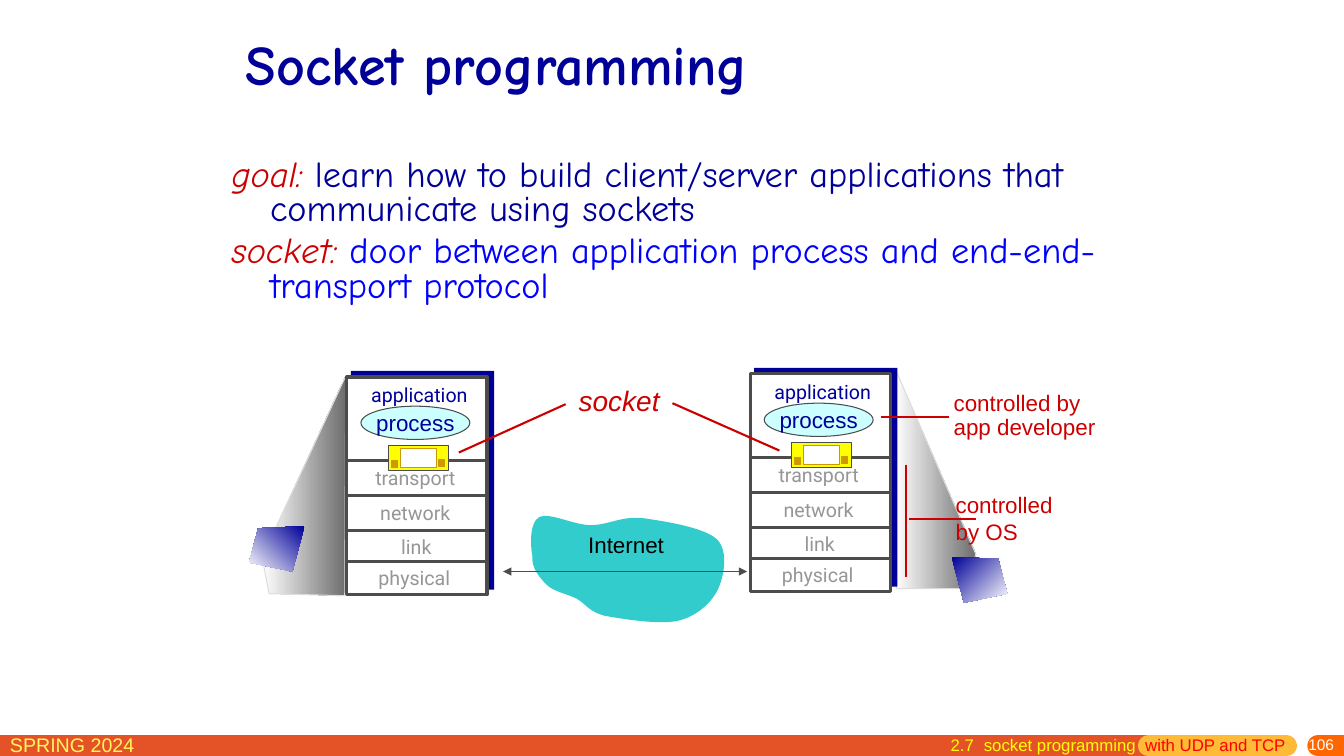
import pptx
import pptx.util
import pptx.dml.color
import pptx.enum.shapes
import pptx.enum.text
import pptx.oxml
import pptx.oxml.ns

PX = 9144
INK = {
    "navy": "000099", "blue": "0000FF", "red": "CC0000", "hot": "FF0000",
    "gray": "4C4C4C", "dim": "969696", "dark": "6E6E6E", "pale": "DDDDDD",
    "white": "FFFFFF", "black": "000000", "teal": "33CCCC", "ice": "CCFFFF",
    "sun": "FFFF00", "gold": "CC9900", "brick": "E45327", "amber": "FFBA37",
    "flame": "FF6600", "lemon": "FFF65C",
}
SHAPE = pptx.enum.shapes.MSO_SHAPE
ALIGN = pptx.enum.text.PP_ALIGN
ANCHOR = pptx.enum.text.MSO_ANCHOR


def hue(name):
    return pptx.dml.color.RGBColor.from_string(INK[name])


def node(tag, **attrs):
    part = pptx.oxml.parse_xml(f"<a:{tag} {pptx.oxml.ns.nsdecls('a')}/>")
    for key, value in attrs.items():
        part.set(key, str(value))
    return part


def paint(shape, fill=None, line=None, width=0.75):
    shape.shadow.inherit = False
    if fill:
        shape.fill.solid()
        shape.fill.fore_color.rgb = hue(fill)
    if line:
        shape.line.color.rgb = hue(line)
        shape.line.width = pptx.util.Pt(width)
    else:
        shape.line.fill.background()
    return shape


def shape(slide, kind, box, **look):
    return paint(slide.shapes.add_shape(kind, *(n * PX for n in box)), **look)


def text(slide, box, lines, host=None, size=16, font="Arial", color="black",
         bold=False, italic=False, align=ALIGN.LEFT, anchor=ANCHOR.TOP,
         wrap=True, space=None, gap=0, hang=0, tabs=(), inset=(10, 5, 10, 5)):
    host = host or slide.shapes.add_textbox(*(n * PX for n in box))
    frame = host.text_frame
    frame.word_wrap = wrap
    frame.vertical_anchor = anchor
    frame.margin_left, frame.margin_top, frame.margin_right, frame.margin_bottom = (
        n * PX for n in inset)
    for i, line in enumerate(lines):
        para = frame.paragraphs[0] if i == 0 else frame.add_paragraph()
        para.alignment = align
        if space:
            para.line_spacing = space
        if i and gap:
            para.space_before = pptx.util.Pt(gap)
        props = para._p.get_or_add_pPr()
        if hang:
            props.set("marL", str(hang * PX))
            props.set("indent", str(-hang * PX))
        if tabs:
            stops = node("tabLst")
            for stop in tabs:
                stops.append(node("tab", pos=stop * PX, algn="l"))
            props.append(stops)
        for words, ink, slant in [(line, color, italic)] if isinstance(line, str) else line:
            run = para.add_run()
            run.text = words
            run.font.name = font
            run.font.size = pptx.util.Pt(size)
            run.font.bold = bold
            run.font.italic = slant
            run.font.color.rgb = hue(ink)
    return host


def rule(slide, start, end, color, width, heads=False, cap=None):
    line = slide.shapes.add_connector(
        pptx.enum.shapes.MSO_CONNECTOR.STRAIGHT, *(n * PX for n in (*start, *end)))
    line.line.color.rgb = hue(color)
    line.line.width = pptx.util.Pt(width)
    stroke = line._element.spPr.find(pptx.oxml.ns.qn("a:ln"))
    if cap:
        stroke.set("cap", cap)
    if heads:
        for tag in ("headEnd", "tailEnd"):
            stroke.append(node(tag, type="triangle"))
    line._element.spPr.append(node("effectLst"))


def form(slide, points, **look):
    pen = slide.shapes.build_freeform(*points[0], scale=PX)
    pen.add_line_segments(points[1:], close=True)
    return paint(pen.convert_to_shape(), **look)


def fade(slide, left, top, points, first, last, angle, **look):
    part = form(slide, [(left + x, top + y) for x, y in points], **look)
    part.fill.gradient()
    part.fill.gradient_angle = angle
    for stop, ink, spot in zip(part.fill.gradient_stops, (first, last), (0, 1)):
        stop.color.rgb = hue(ink)
        stop.position = spot


def bend(part, start, arcs):
    track = part._element.find(".//" + pptx.oxml.ns.qn("a:path"))
    for step in list(track):
        track.remove(step)
    for tag, points in [("moveTo", [start])] + [("cubicBezTo", arc) for arc in arcs]:
        step = node(tag)
        for x, y in points:
            step.append(node("pt", x=x, y=y))
        track.append(step)
    track.append(node("close"))


def cloud(slide, left, top):
    arcs = [
        ((1, 33), (0, 10), (10, 5)), ((20, 0), (44, 13), (61, 13)),
        ((78, 13), (91, 4), (112, 6)), ((133, 9), (173, 15), (186, 27)),
        ((198, 39), (193, 64), (187, 77)), ((180, 91), (165, 104), (147, 108)),
        ((128, 112), (92, 106), (75, 103)), ((59, 99), (56, 91), (47, 86)),
        ((37, 81), (24, 79), (17, 72)), ((10, 65), (2, 55), (3, 44)),
    ]
    blob = form(slide, [(left, top), (left + 198, top), (left + 198, top + 113)], fill="teal")
    bend(blob, (3, 44), arcs)
    text(slide, (left + 48, top + 14, 96, 37), ["Internet"], align=ALIGN.CENTER, wrap=False)
    rule(slide, (left - 26, top + 59), (left + 216, top + 59), "gray", 0.75, heads=True)


def stack(slide, left, top):
    shape(slide, SHAPE.RECTANGLE, (left + 4, top - 6, 142, 217), fill="navy")
    shape(slide, SHAPE.RECTANGLE, (left, top, 139, 216), fill="white", line="gray", width=2.25)
    for y in (83, 118, 152, 183):
        rule(slide, (left, top + y), (left + 139, top + y), "gray", 2.25)
    for name, x, y, ink in (("application", 0, -1, "navy"), ("transport", -4, 81, "dim"),
                            ("network", -4, 116, "dim"), ("link", -3, 149, "dim"),
                            ("physical", -5, 180, "dim")):
        text(slide, (left + x, top + y, 144, 36), [name], size=14, font="Roboto",
             color=ink, align=ALIGN.CENTER, space=1.1)
    oval = shape(slide, SHAPE.OVAL, (left + 14, top + 29, 108, 33), fill="ice", line="gray")
    text(slide, None, ["process"], host=oval, color="navy", align=ALIGN.CENTER,
         anchor=ANCHOR.MIDDLE, wrap=False)
    for x, y, w, h, fill, edge in ((41, 68, 60, 25, "sun", "gray"),
                                   (53, 71, 36, 19, "white", "gold"),
                                   (91, 82, 6, 7, "gold", "gold"),
                                   (44, 83, 6, 7, "gold", "gold")):
        shape(slide, SHAPE.RECTANGLE, (left + x, top + y, w, h), fill=fill, line=edge)


def scene(slide, left, top):
    fade(slide, left + 641, top, [(80, 184), (0, 0), (1, 218), (66, 218)],
         "white", "dark", 0, line="pale")
    fade(slide, left + 13, top + 7, [(0, 180), (83, 0), (82, 218), (7, 216)],
         "white", "dark", 0, line="pale")
    cloud(slide, left + 278, top + 142)
    stack(slide, left + 97, top + 8)
    stack(slide, left + 497, top + 5)
    text(slide, (left + 691, top + 116, 116, 90), ["controlled", "by OS"],
         color="red", wrap=False)
    text(slide, (left + 689, top + 18, 161, 58), ["controlled by", "app developer"],
         color="red", wrap=False, space=0.9)
    text(slide, (left + 317, top + 13, 120, 40), ["socket"], size=20, color="red",
         italic=True, space=0.9)
    for a, b, c, d in ((694, 48, 627, 48), (652, 95, 652, 206), (721, 149, 655, 149),
                       (208, 83, 314, 35), (526, 81, 420, 34)):
        rule(slide, (left + a, top + b), (left + c, top + d), "red", 1.5)
    fade(slide, left, top + 156, [(55, 0), (9, 2), (0, 36), (43, 45)], "navy", "white", 225)
    fade(slide, left + 697, top + 187, [(0, 0), (46, 1), (55, 36), (12, 45)],
         "navy", "white", 315)


def intro(slide, left, top):
    text(slide, (left + 14, top, 850, 125), ["Socket programming"], size=40,
         font="Comic Neue", color="navy", bold=True, anchor=ANCHOR.MIDDLE)
    text(slide, (left, top + 153, 877, 168), [
        [("goal: ", "red", True),
         ("learn how to build client/server applications that communicate using sockets",
          "navy", False)],
        [("socket:", "red", True),
         (" door between application process and end-end-transport protocol", "blue", False)],
    ], size=25.9, font="Comic Neue", space=0.8, gap=5, hang=38)


def foot(slide, top):
    mid = top + 18
    for start, end, ink, cap in ((0, 1139, "brick", "flat"), (1139, 1276, "amber", "rnd"),
                                 (1307, 1333, "flame", "rnd")):
        rule(slide, (start, mid), (end, mid), ink, 15, cap=cap)
    text(slide, (0, top, 229, 28), ["SPRING 2024"], size=14, color="lemon")
    text(slide, (1075, top + 10, 258, 18), ["106"], size=11, color="white",
         align=ALIGN.RIGHT, anchor=ANCHOR.MIDDLE, inset=(10, 0, 10, 5))
    text(slide, (933, top + 2, 355, 26), [
        [("2.7\tsocket programming\t", "sun", False), ("with UDP and TCP", "hot", False)],
    ], size=12, tabs=(33, 193))


def main():
    deck = pptx.Presentation()
    deck.slide_width = 1333 * PX
    deck.slide_height = 750 * PX
    slide = deck.slides.add_slide(deck.slide_layouts[6])
    foot(slide, 722)
    intro(slide, 220, 0)
    scene(slide, 247, 366)
    deck.save("out.pptx")


if __name__ == "__main__":
    main()
